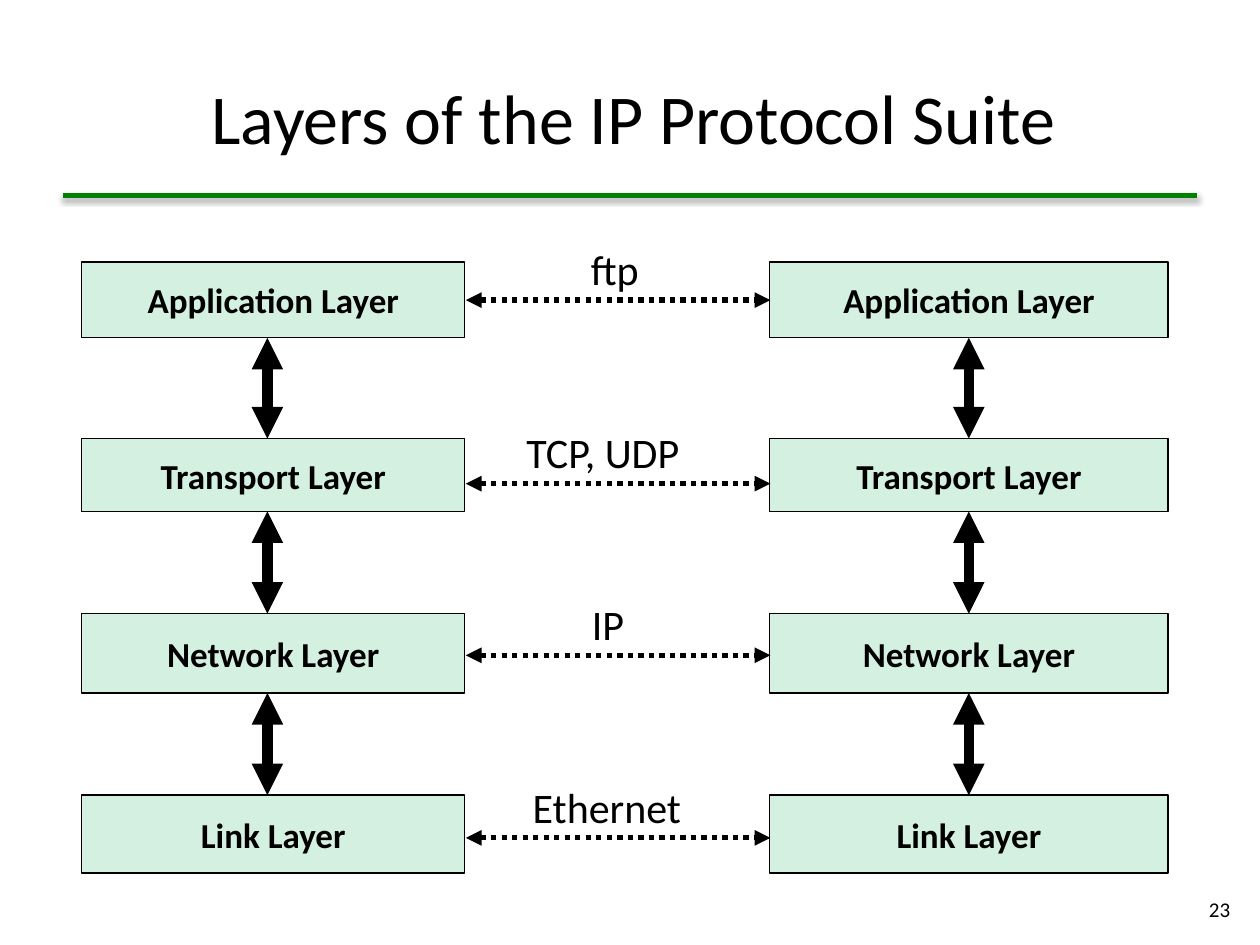
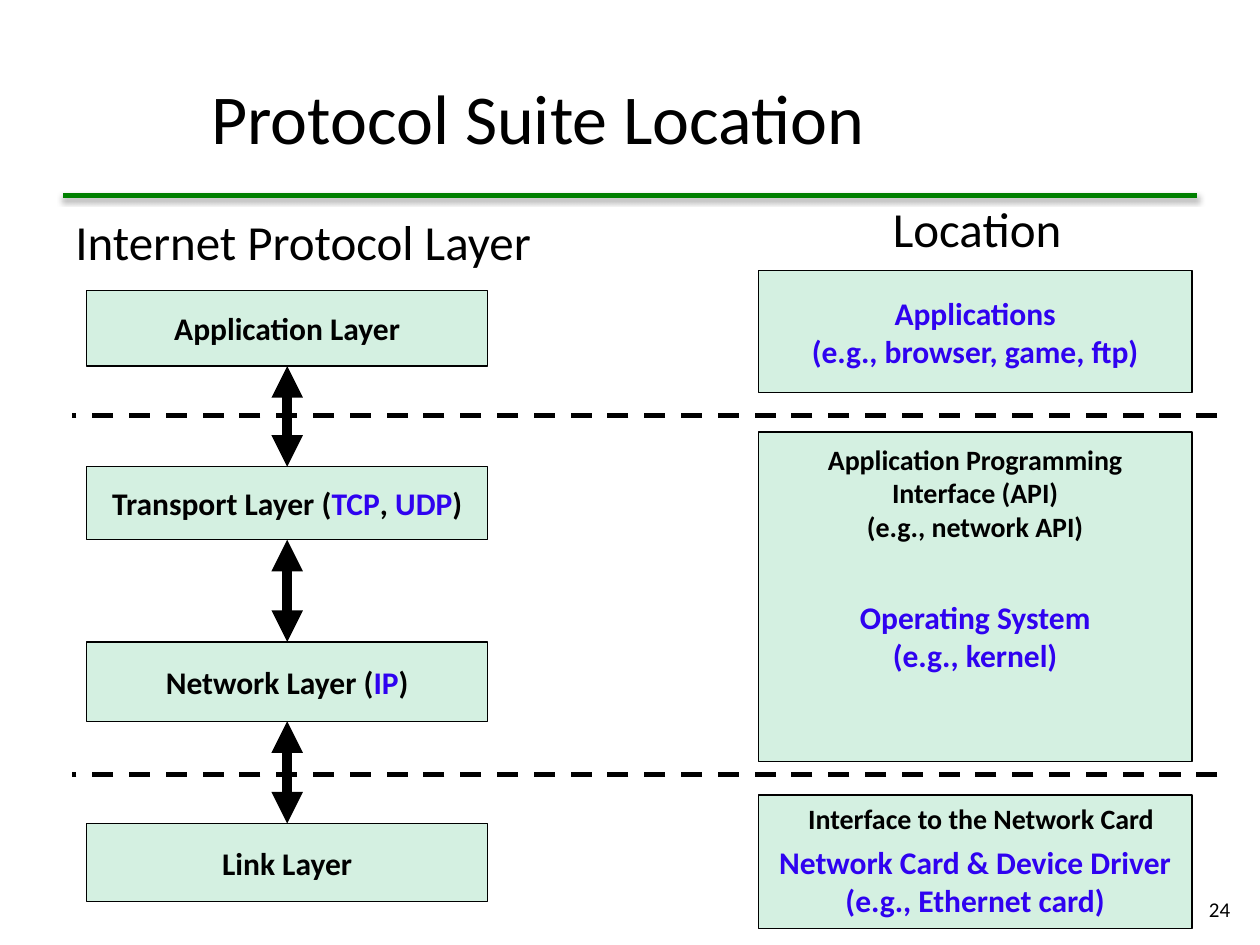
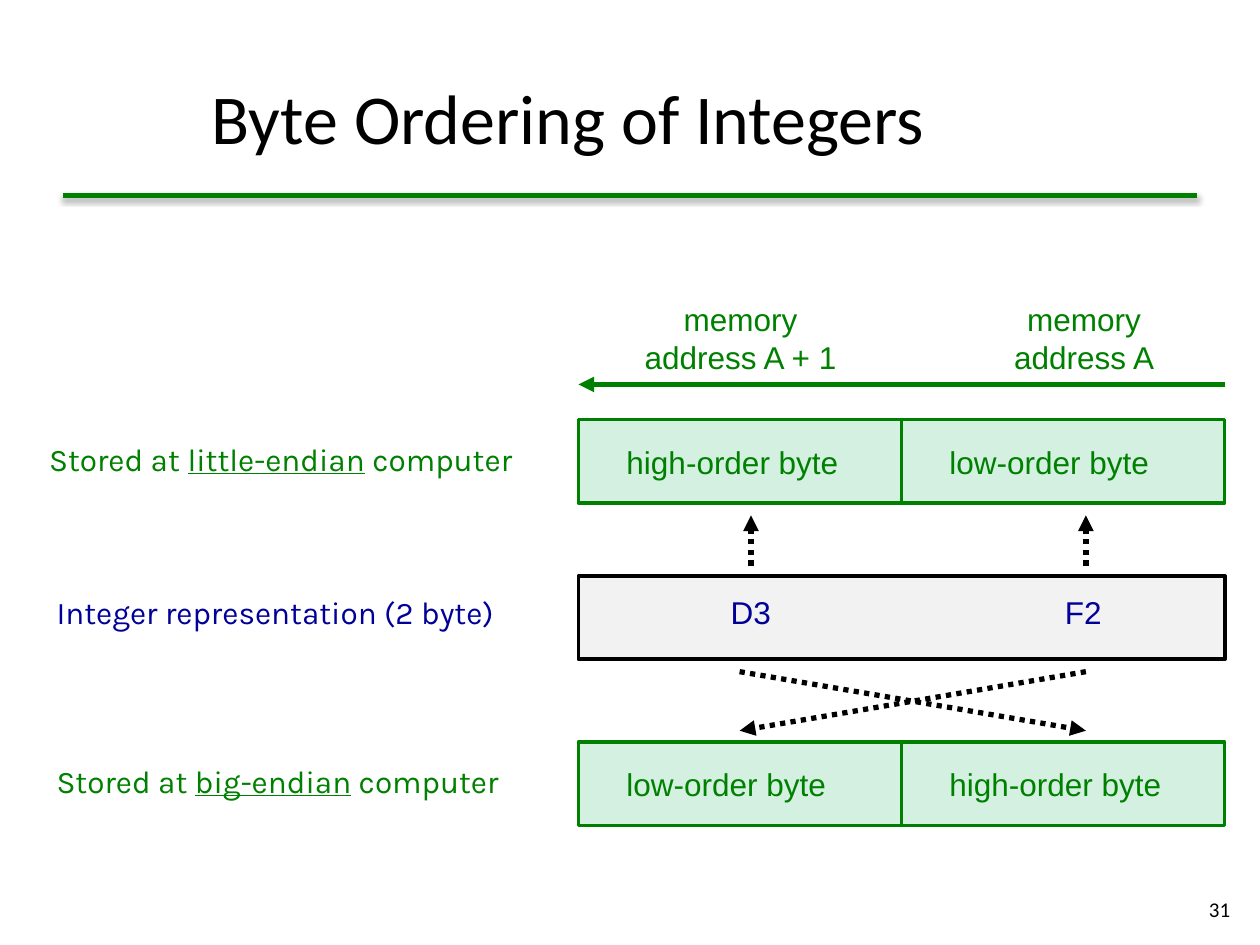
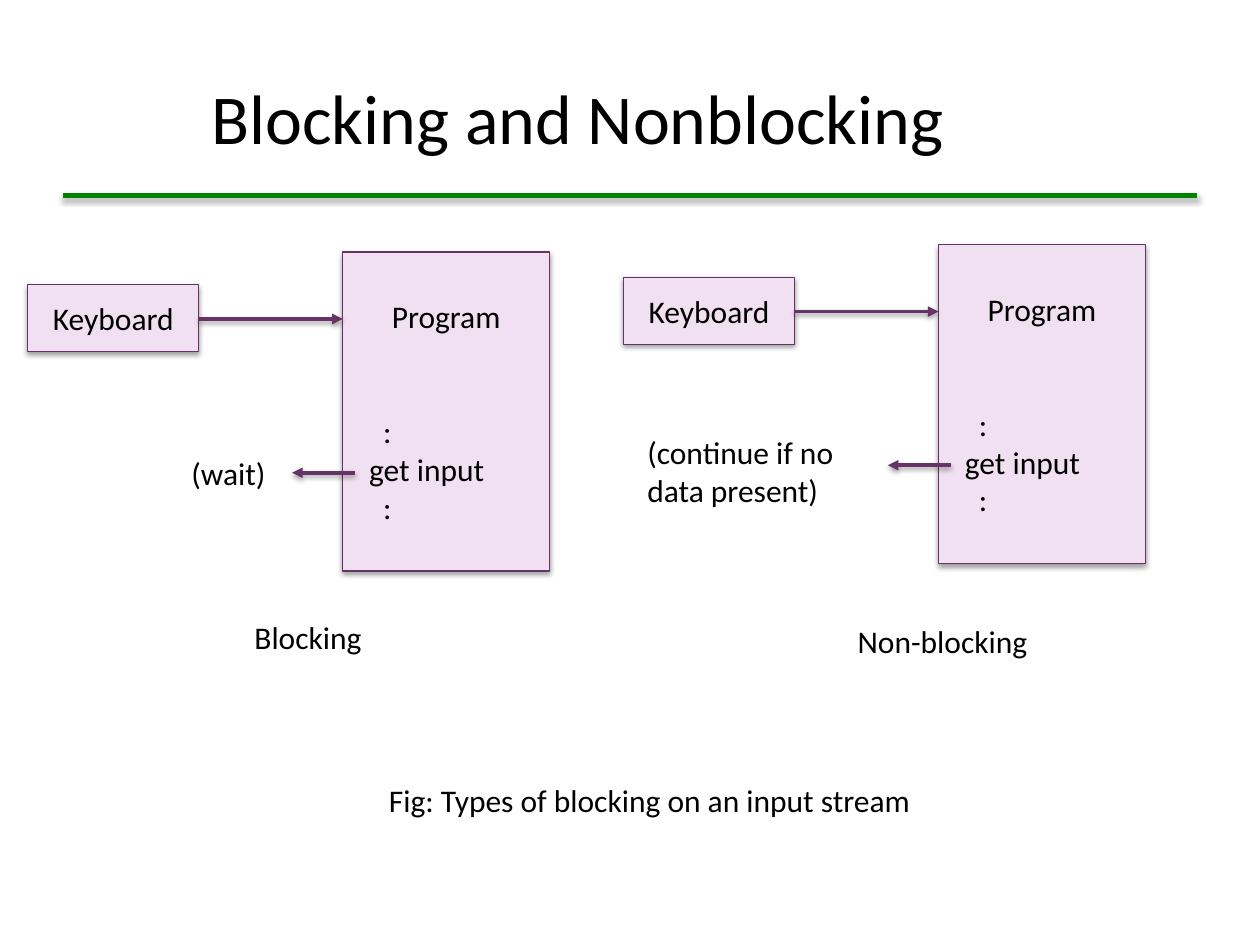
from lxml.etree import SubElement
from pptx import Presentation
from pptx.dml.color import RGBColor
from pptx.enum.dml import MSO_LINE_DASH_STYLE as Dash
from pptx.enum.shapes import MSO_CONNECTOR, MSO_SHAPE
from pptx.enum.text import MSO_ANCHOR as Anchor, PP_ALIGN as Align
from pptx.oxml.ns import qn
from pptx.util import Cm, Pt

COLORS = {
    "black": "000000",
    "green": "008000",
    "mint": "D4F0E1",
    "gray": "F2F2F2",
    "blue": "2F02F0",
    "navy": "000099",
    "purple": "663366",
    "lilac": "F0E0F1",
}
LAYER_ROWS = [(5.28, 1.53), (8.84, 1.47), (12.37, 1.6), (16.03, 1.57)]


def rgb(name):
    return RGBColor.from_string(COLORS[name])


def write(frame, text, size=18, font="Calibri", color="black", bold=False,
          align=Align.LEFT, before=0, spacing=None, indent=0):
    """Add text to a frame: a string with one paragraph a line, or a list of
    (text, colour, underline) runs that form one paragraph."""
    if isinstance(text, str):
        paragraphs = [[(line, color, False)] for line in text.split("\n")]
    else:
        paragraphs = [text]
    for runs in paragraphs:
        paragraph = frame.add_paragraph() if frame.text else frame.paragraphs[0]
        paragraph.alignment = align
        if before:
            paragraph.space_before = Pt(before)
        if spacing:
            paragraph.line_spacing = spacing
        if indent:
            paragraph._p.get_or_add_pPr().set("marL", str(Pt(indent)))
        for words, run_color, underline in runs:
            run = paragraph.add_run()
            run.text = words
            run.font.size = Pt(size)
            run.font.name = font
            run.font.bold = bold
            run.font.underline = underline
            run.font.color.rgb = rgb(run_color)


def set_effects(shape, shadow):
    """Give the shape a soft drop shadow, or explicitly none."""
    effects = SubElement(shape._element.spPr, qn("a:effectLst"))
    if shadow:
        outer = SubElement(effects, qn("a:outerShdw"), blurRad=str(Pt(3.1)),
                           dist=str(Pt(1.6)), dir="5400000", rotWithShape="0")
        tint = SubElement(outer, qn("a:srgbClr"), val=COLORS["black"])
        SubElement(tint, qn("a:alpha"), val="38000")


class Deck:
    def __init__(self):
        self.presentation = Presentation()
        self.presentation.slide_width = Cm(25.4)
        self.presentation.slide_height = Cm(19.05)
        self.slide = None

    def start_slide(self, heading, number=None):
        layout = self.presentation.slide_layouts.get_by_name("Title Only")
        self.slide = self.presentation.slides.add_slide(layout)
        title = self.slide.shapes.title
        title.left, title.top = Cm(4.01), Cm(0.76)
        title.width, title.height = Cm(21), Cm(3.18)
        title.text_frame.vertical_anchor = Anchor.MIDDLE
        write(title.text_frame, heading, size=40)
        self.line(1.27, 3.94, 24.13, 3.94, color="green", shadow=True)
        if number:
            self.label(number, 24.03, 17.81, 1.02, 1.02, wrap=True,
                       anchor=Anchor.MIDDLE, size=12, align=Align.RIGHT)

    def label(self, text, left, top, width, height=1.03, wrap=False,
              anchor=Anchor.TOP, **style):
        frame = self.slide.shapes.add_textbox(
            Cm(left), Cm(top), Cm(width), Cm(height)).text_frame
        frame.word_wrap = wrap
        frame.vertical_anchor = anchor
        write(frame, text, **style)

    def box(self, left, top, width, height, text="", fill="mint", outline="black",
            weight=0.75, shadow=False, inset_left=0.25, inset_top=0.13, **style):
        shape = self.slide.shapes.add_shape(
            MSO_SHAPE.RECTANGLE, Cm(left), Cm(top), Cm(width), Cm(height))
        shape.fill.solid()
        shape.fill.fore_color.rgb = rgb(fill)
        shape.line.color.rgb = rgb(outline)
        shape.line.width = Pt(weight)
        set_effects(shape, shadow)
        frame = shape.text_frame
        frame.word_wrap = True
        frame.vertical_anchor = Anchor.MIDDLE
        frame.margin_left, frame.margin_top = Cm(inset_left), Cm(inset_top)
        if text:
            write(frame, text, **{"align": Align.CENTER, **style})
        return frame

    def line(self, x1, y1, x2, y2, color="black", weight=3, dash=None,
             heads=(), shadow=False):
        """Draw a line; heads lists the ends with an arrow, headEnd or tailEnd."""
        connector = self.slide.shapes.add_connector(
            MSO_CONNECTOR.STRAIGHT, Cm(x1), Cm(y1), Cm(x2), Cm(y2))
        connector.line.color.rgb = rgb(color)
        connector.line.width = Pt(weight)
        if dash:
            connector.line.dash_style = dash
        for end in heads:
            SubElement(connector.line._get_or_add_ln(), qn(f"a:{end}"), type="triangle")
        set_effects(connector, shadow)

    def arrow(self, x1, y1, x2, y2, **style):
        self.line(x1, y1, x2, y2, heads=["tailEnd"], **style)

    def double_arrow(self, x1, y1, x2, y2, **style):
        self.line(x1, y1, x2, y2, heads=["headEnd", "tailEnd"], **style)

    def layer_stack(self, layers, left, width, arrow_x, shift=0, size=20):
        """Stack the protocol layers with a double arrow in each gap."""
        previous_bottom = None
        for layer, (top, height) in zip(layers, LAYER_ROWS):
            top += shift
            self.box(left, top, width, height, layer, size=size, bold=True)
            if previous_bottom:
                self.double_arrow(arrow_x, previous_bottom, arrow_x, top, weight=6)
            previous_bottom = top + height


def protocol_layers(deck):
    deck.start_slide("Layers of the IP Protocol Suite", "23")
    layers = ["Application Layer", "Transport Layer", "Network Layer", "Link Layer"]
    deck.layer_stack(layers, left=1.65, width=7.72, arrow_x=5.39)
    deck.layer_stack(layers, left=15.52, width=8.03, arrow_x=19.53)
    for protocol, y, left, width in [
            ("ftp", 6.05, 11.66, 1.5), ("TCP, UDP", 9.75, 10.36, 3.76),
            ("IP", 13.21, 11.68, 1.17), ("Ethernet", 16.89, 10.49, 3.56)]:
        deck.double_arrow(9.39, y, 15.53, y, dash=Dash.ROUND_DOT)
        deck.label(protocol, left, y - 1.27, width, 1.3, size=24)


def suite_location(deck):
    deck.start_slide("Protocol Suite Location", "24")
    transport = [("Transport Layer (", "black", False), ("TCP", "blue", False),
                 (", ", "black", False), ("UDP", "blue", False), (")", "black", False)]
    network = [("Network Layer (", "black", False), ("IP", "blue", False),
               (")", "black", False)]
    deck.layer_stack(["Application Layer", transport, network, "Link Layer"],
                     left=1.75, width=8.08, arrow_x=5.79, shift=0.57, size=18)
    for heading, left, top, width in [("Internet Protocol Layer", 1.27, 4.27, 10.08),
                                      ("Location", 17.75, 4.01, 5.84)]:
        deck.label(heading, left, top, width, 1.6, wrap=True, size=28, spacing=0.9)

    for place, top, height, inset_top in [
            ("Applications\n(e.g., browser, game, ftp)", 5.46, 2.46, 0.13),
            ("Operating System\n(e.g., kernel)", 8.71, 6.65, 1.68),
            ("Network Card & Device Driver\n(e.g., Ethernet card)", 16.03, 2.69, 0.9)]:
        deck.box(15.29, top, 8.74, height, place, color="blue", bold=True,
                 inset_top=inset_top)
    interface = {"size": 16, "bold": True, "align": Align.CENTER}
    deck.label("Application Programming\nInterface (API)\n(e.g., network API)",
               15.29, 8.79, 8.74, 2.29, wrap=True, **interface)
    deck.label("Interface to the Network Card", 15.93, 16.03, 7.7, 0.94, **interface)
    for boundary in (8.38, 15.62):
        deck.line(24.54, boundary, 1.45, boundary, dash=Dash.DASH)


def byte_ordering(deck):
    deck.start_slide("Byte Ordering of Integers", "31")
    left, middle, byte_width, height = 11.66, 18.17, 6.52, 1.68
    right = left + 2 * byte_width
    high, low = "high-order byte", "low-order byte"

    deck.label("memory\naddress A + 1", 12.57, 5.92, 4.72, 1.83, wrap=True,
               font="Arial", color="green", align=Align.CENTER)
    deck.label("memory\naddress A", 20.14, 5.92, 3.43, 1.83,
               font="Arial", color="green", align=Align.CENTER)
    deck.arrow(right, 7.75, left, 7.75, color="green")

    for order, label_left, top, stored in [("little-endian", 0.74, 8.46, (high, low)),
                                           ("big-endian", 0.89, 14.96, (low, high))]:
        deck.label([("Stored at ", "green", False), (order, "green", True),
                    (" computer", "green", False)],
                   label_left, top + 0.28, 10.5, wrap=True, font="Karla")
        for x, order_of_byte in zip((left, middle), stored):
            deck.box(x, top, byte_width, height, order_of_byte, outline="green",
                     weight=2, inset_left=0.97, font="Arial", color="green",
                     align=Align.LEFT)

    deck.label("Integer representation (2 byte)", 0.89, 11.84, 10.5, wrap=True,
               font="Karla", color="navy")
    deck.box(left, 11.61, 2 * byte_width, height, fill="gray", weight=2)
    for value, x in [("D3", 14.48), ("F2", 21.22)]:
        deck.label(value, x, 11.83, 1.4, font="Arial", color="navy")

    high_x, low_x = 14.91, 21.89
    for x in (15.14, low_x):
        deck.arrow(x, 11.4, x, 10.39, dash=Dash.ROUND_DOT)
    for start, end in [(high_x, low_x), (low_x, high_x)]:
        deck.arrow(start, 13.54, end, 14.73, dash=Dash.ROUND_DOT)


def input_blocking(deck):
    deck.start_slide("Blocking and Nonblocking")
    node = {"fill": "lilac", "outline": "purple", "shadow": True}
    flow = {"color": "purple", "weight": 2, "shadow": True}
    for dx, dy in [(0, 0), (12.01, -0.15)]:
        deck.box(0.56 + dx, 5.74 + dy, 3.45, 1.35, "Keyboard", **node)
        program = deck.box(6.91 + dx, 5.08 + dy, 4.17, 6.43, "Program", **node)
        write(program, ":", indent=16, before=44)
        write(program, "get input", indent=8)
        write(program, ":", indent=16)
        deck.arrow(4.01 + dx, 6.43 + dy, 6.91 + dx, 6.43 + dy, **flow)
        deck.arrow(7.16 + dx, 9.53 + dy, 5.89 + dx, 9.53 + dy, **flow)
    deck.label("(wait)", 3.61, 9.02, 2.03)
    deck.label("(continue if no data present)", 12.8, 8.61, 4.7, 1.8, wrap=True)
    deck.label("Blocking", 4.88, 12.34, 2.69)
    deck.label("Non-blocking", 17.04, 12.42, 3.96)
    deck.label("Fig: Types of blocking on an input stream", 7.59, 15.62, 11.15)


def main():
    deck = Deck()
    for build_slide in (protocol_layers, suite_location, byte_ordering, input_blocking):
        build_slide(deck)
    deck.presentation.save("out.pptx")


if __name__ == "__main__":
    main()
